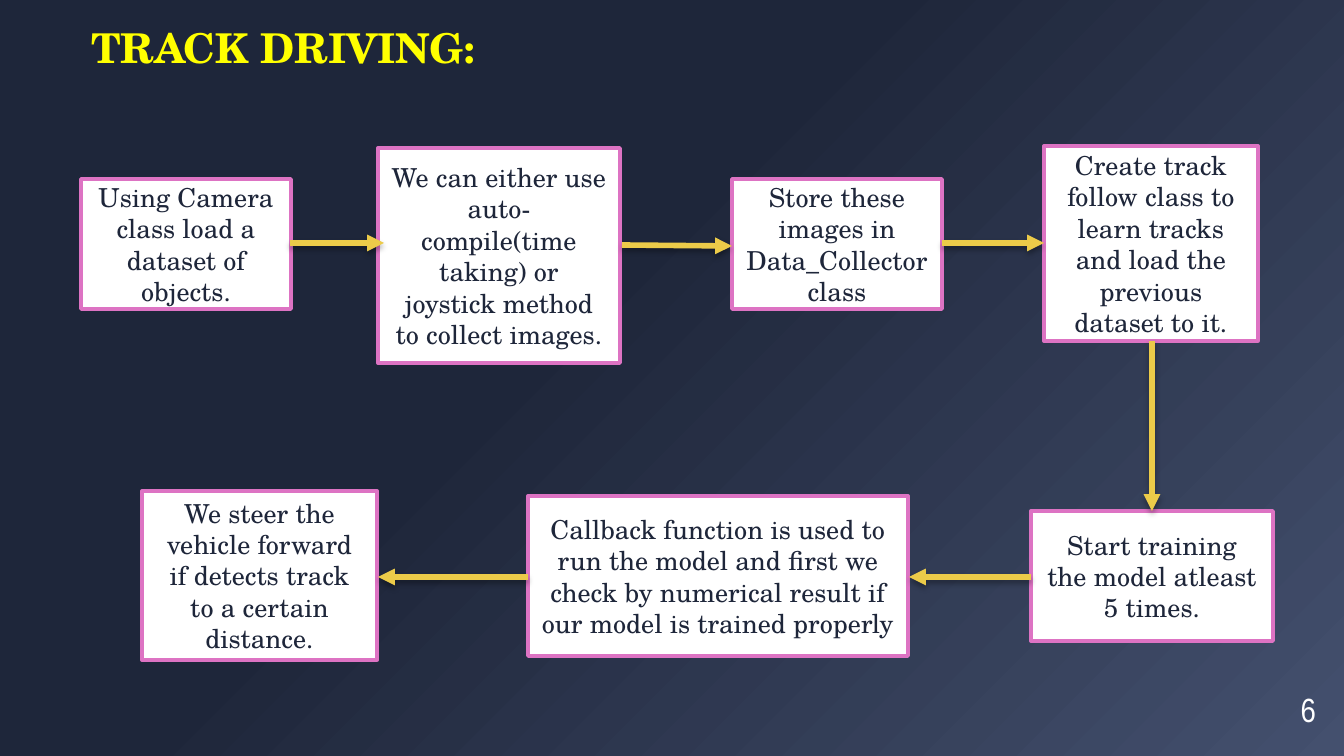
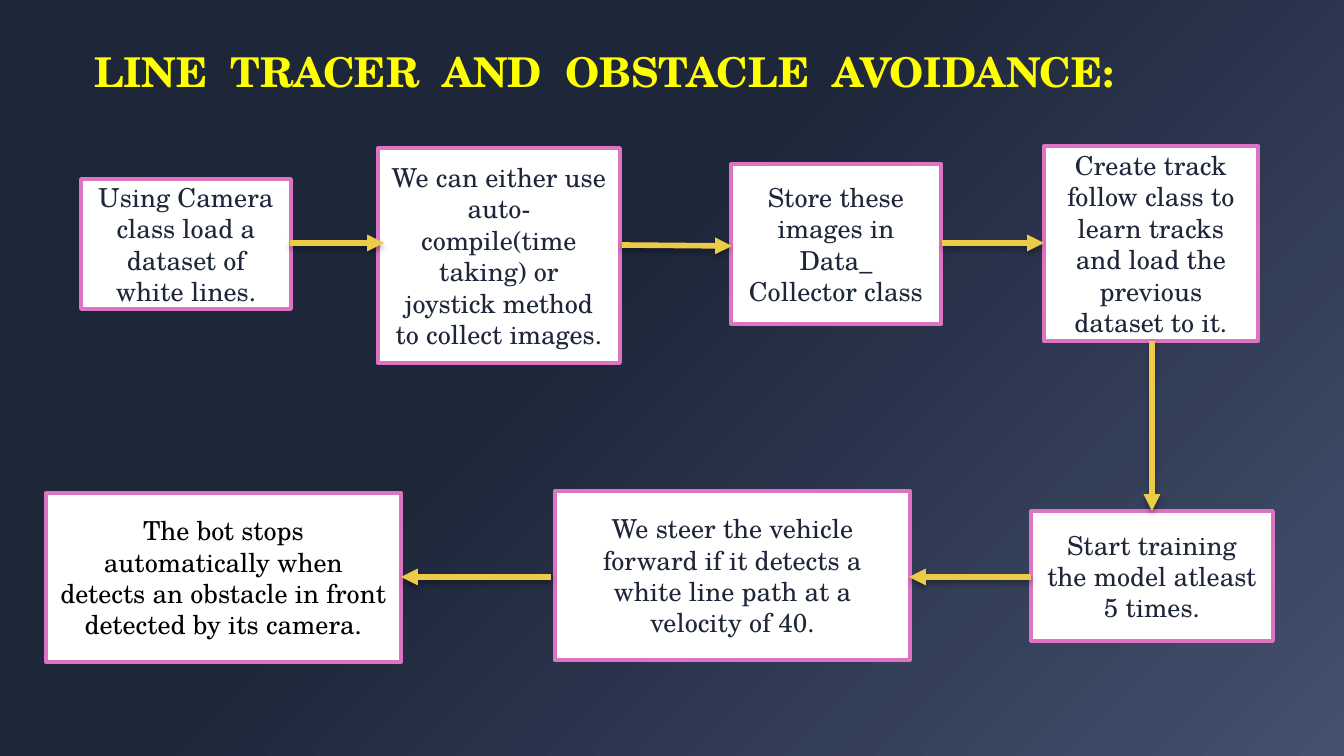
import lxml.etree
import pptx
import pptx.dml.color
import pptx.enum.shapes
import pptx.enum.text
import pptx.oxml.ns
import pptx.util

RGBColor = pptx.dml.color.RGBColor
NAVY = RGBColor(0x1E, 0x26, 0x3A)
SLATE = RGBColor(0x44, 0x50, 0x6E)
PINK = RGBColor(0xDD, 0x73, 0xC3)
GOLD = RGBColor(0xEC, 0xCB, 0x49)
YELLOW = RGBColor(0xFF, 0xFF, 0x00)
WHITE = RGBColor(0xFF, 0xFF, 0xFF)
BLACK = RGBColor(0x00, 0x00, 0x00)

SERIF = "TeX Gyre Schola"
NARROW = "Arial Narrow"
WIDTH, HEIGHT = 1344, 756
SCALE = 9144000 / WIDTH

SHARED_STEPS = [
    (378, 148, 242, 215, "We can either use auto-compile(time taking) or "
                         "joystick method to collect images."),
    (1044, 146, 214, 195, "Create track follow class to learn tracks and "
                          "load the previous dataset to it."),
    (1031, 511, 242, 130, "Start training the model atleast 5 times."),
]
SHARED_ARROWS = [
    (290, 243, 384, 243),
    (622, 245, 732, 246),
    (942, 243, 1044, 243),
    (1152, 341, 1152, 511),
    (1031, 577, 909, 577),
]


def px(length):
    return pptx.util.Emu(round(length * SCALE))


def add_xml(parent, tag, **attributes):
    return lxml.etree.SubElement(parent, pptx.oxml.ns.qn(tag), attributes)


def add_color(parent, color):
    return add_xml(parent, "a:srgbClr", val=str(color))


def add_span(para, text, size, color, font=SERIF, bold=False):
    span = para.add_run()
    span.text = text
    span.font.size = pptx.util.Pt(size)
    span.font.name = font
    span.font.bold = bold
    span.font.color.rgb = color
    return span


def add_background(page):
    page.background.fill.gradient()
    gradient = page.element.find(".//" + pptx.oxml.ns.qn("a:gradFill"))
    for child in list(gradient):
        gradient.remove(child)
    stops = add_xml(gradient, "a:gsLst")
    for percent, color in ((0, SLATE), (58, NAVY), (100, NAVY)):
        add_color(add_xml(stops, "a:gs", pos=str(percent * 1000)), color)
    circle = add_xml(gradient, "a:path", path="circle")
    add_xml(circle, "a:fillToRect", l="100000", t="100000")


def add_title(page, left, top, width, title, word_gap=0):
    box = page.shapes.add_textbox(px(left), px(top), px(width), px(63))
    frame = box.text_frame
    frame.word_wrap = True
    frame.auto_size = pptx.enum.text.MSO_AUTO_SIZE.SHAPE_TO_FIT_TEXT
    para = frame.paragraphs[0]
    for index, word in enumerate(title.split()):
        if index:
            space = add_span(para, " ", 22, YELLOW, bold=True)
            space.font._element.set("spc", str(word_gap))
        add_span(para, word, 22, YELLOW, bold=True)


def add_step(page, left, top, width, height, text, color=NAVY):
    box = page.shapes.add_shape(pptx.enum.shapes.MSO_SHAPE.RECTANGLE,
                                px(left), px(top), px(width), px(height))
    box.shadow.inherit = False
    box.fill.solid()
    box.fill.fore_color.rgb = WHITE
    box.line.color.rgb = PINK
    box.line.width = pptx.util.Pt(2)
    frame = box.text_frame
    frame.word_wrap = True
    frame.vertical_anchor = pptx.enum.text.MSO_ANCHOR.MIDDLE
    for index, line in enumerate(text.split("\n")):
        para = frame.add_paragraph() if index else frame.paragraphs[0]
        para.alignment = pptx.enum.text.PP_ALIGN.CENTER
        add_span(para, line, 14, color)


def add_arrow(page, *ends):
    arrow = page.shapes.add_connector(
        pptx.enum.shapes.MSO_CONNECTOR.STRAIGHT, *map(px, ends))
    arrow.line.color.rgb = GOLD
    arrow.line.width = pptx.util.Pt(3)
    add_xml(arrow.line._get_or_add_ln(), "a:tailEnd", type="triangle")
    effects = add_xml(arrow._element.spPr, "a:effectLst")
    shadow = add_xml(effects, "a:outerShdw", blurRad="39370", dist="22860",
                     dir="5400000", rotWithShape="0")
    add_xml(add_color(shadow, BLACK), "a:alpha", val="35000")


def add_page_number(page, number):
    box = page.shapes.add_textbox(px(1235), px(683), px(81), px(47))
    frame = box.text_frame
    frame.word_wrap = True
    frame.margin_left = frame.margin_right = 0
    frame.margin_top = frame.margin_bottom = 0
    frame.vertical_anchor = pptx.enum.text.MSO_ANCHOR.BOTTOM
    para = frame.paragraphs[0]
    para.alignment = pptx.enum.text.PP_ALIGN.RIGHT
    para.line_spacing = 0.9
    add_span(para, str(number), 18, WHITE, NARROW)


def add_flow_page(deck, target, steps, last_arrow):
    page = deck.slides.add_slide(deck.slide_layouts[6])
    add_background(page)
    add_step(page, 81, 179, 210, 130,
             f"Using Camera class load a dataset of {target}.")
    for step in SHARED_STEPS + steps:
        add_step(page, *step)
    for ends in SHARED_ARROWS + [last_arrow]:
        add_arrow(page, *ends)
    return page


def main():
    deck = pptx.Presentation()
    deck.slide_width, deck.slide_height = px(WIDTH), px(HEIGHT)

    driving = add_flow_page(deck, "objects", [
        (732, 179, 210, 130, "Store these images in Data_Collector class"),
        (528, 496, 380, 160, "Callback function is used to run the model and "
                             "first we check by numerical result if our model "
                             "is trained properly"),
        (142, 491, 235, 169, "We steer the vehicle forward if detects track "
                             "to a certain distance."),
    ], (528, 577, 378, 577))
    add_title(driving, 78, 16, 646, "TRACK DRIVING:")
    add_page_number(driving, 6)

    tracer = add_flow_page(deck, "white lines", [
        (731, 164, 210, 160, "Store these images in Data_\nCollector class"),
        (555, 491, 355, 169, "We steer the vehicle forward if it detects a "
                             "white line path at a velocity of 40."),
        (46, 493, 355, 169, "The bot stops automatically when detects an "
                            "obstacle in front detected by its camera.",
         BLACK),
    ], (551, 577, 401, 577))
    add_title(tracer, 81, 40, 1071, "LINE TRACER AND OBSTACLE AVOIDANCE:",
              word_gap=610)

    deck.save("out.pptx")


if __name__ == "__main__":
    main()
